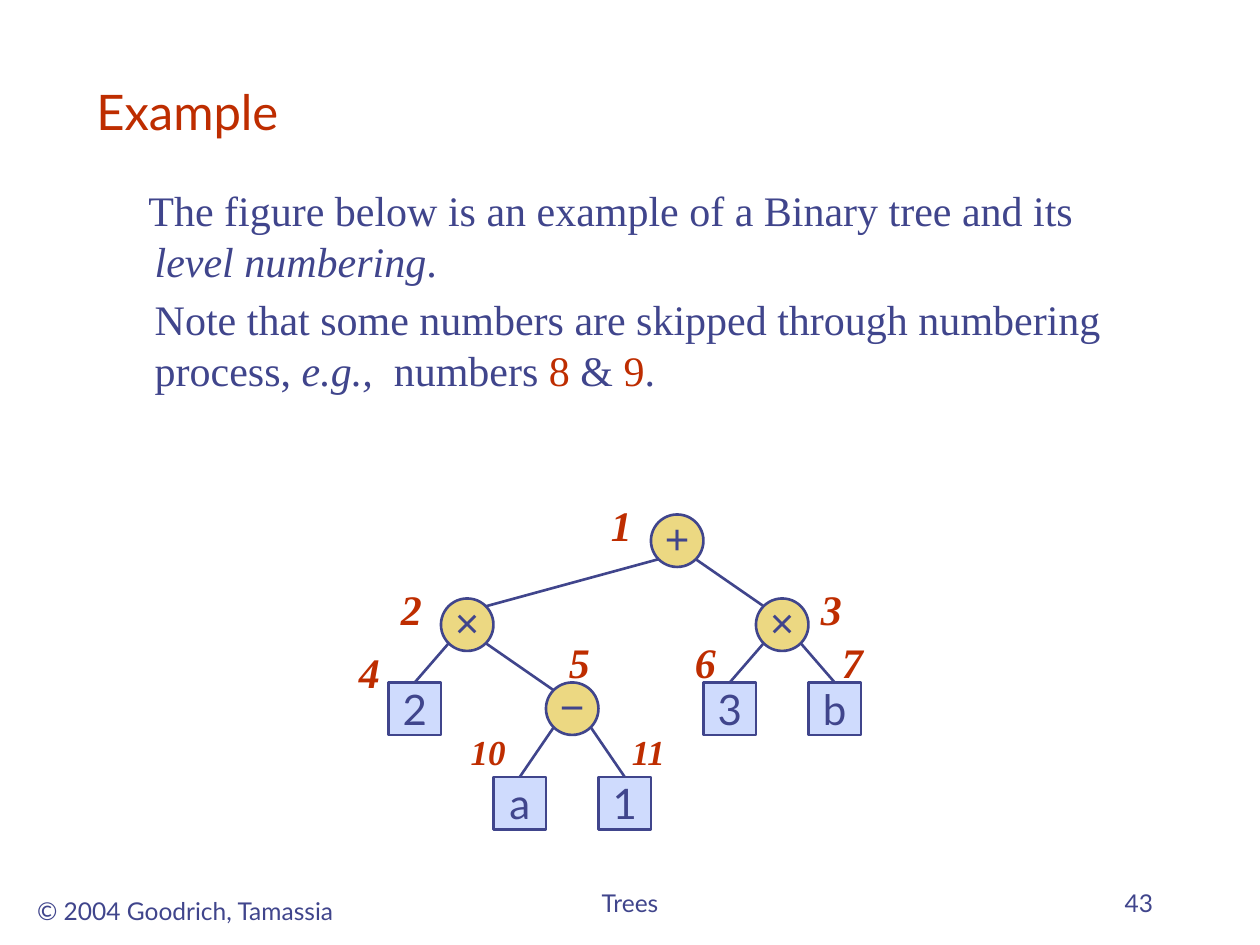
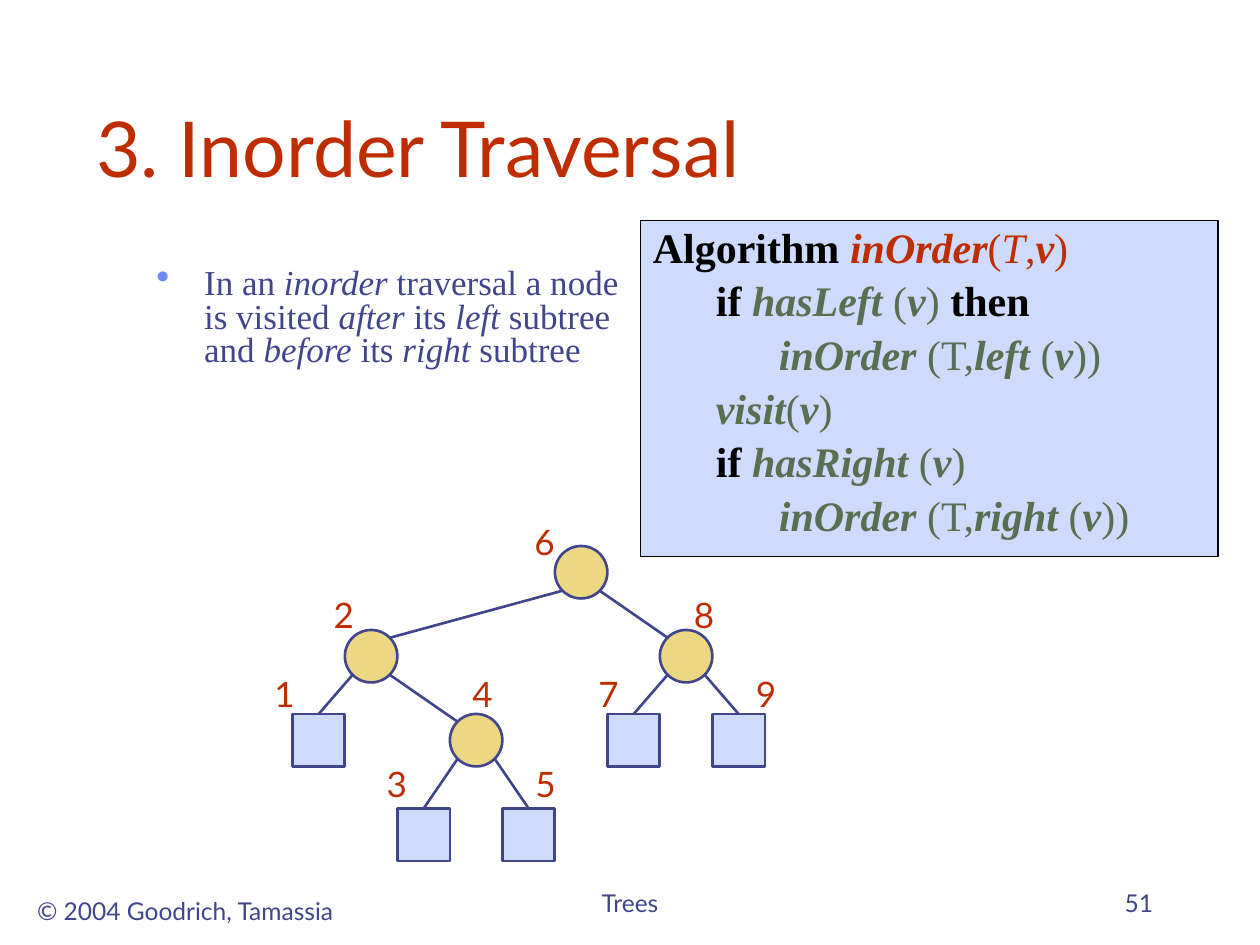
import pptx
import pptx.dml.color
import pptx.enum.shapes
import pptx.enum.text
import pptx.util
from lxml import etree
from pptx.oxml.ns import qn

SLIDE_WIDTH, SLIDE_HEIGHT = 10, 7.5
COLUMNS = 24
CELL = SLIDE_WIDTH / COLUMNS
NAVY, RED, GREEN, BLACK = "40458C", "BE2D00", "577052", "000000"
GOLD, PALE_BLUE, BULLET_BLUE = "ECD882", "CFDBFD", "6F89F7"
SANS, SERIF, SYMBOLS = "Lato", "Times New Roman", "Arial"
ALIGN = pptx.enum.text.PP_ALIGN
ANCHOR = pptx.enum.text.MSO_ANCHOR
PRESET = pptx.enum.shapes.MSO_SHAPE

NODE_ROWS = [3.2, 1.6, 5, 3.2, 5, 0, 3.2, 1.6, 3.2]
CHILDREN = {5: (1, 7), 1: (0, 3), 3: (2, 4), 7: (6, 8)}
DIAGONAL = 0.35


def cells(*lengths):
    return [pptx.util.Inches(length * CELL) for length in lengths]


def colour(hex_string):
    return pptx.dml.color.RGBColor.from_string(hex_string)


def add_runs(paragraph, runs, size, font, default_colour=NAVY):
    for text, style, *own_colour in runs:
        run = paragraph.add_run()
        run.text = text
        run.font.size = pptx.util.Pt(size)
        run.font.name = font
        run.font.bold = "b" in style
        run.font.italic = "i" in style
        run.font.color.rgb = colour(own_colour[0] if own_colour else default_colour)


def set_indent(paragraph, left, first_line=0):
    properties = paragraph._p.get_or_add_pPr()
    properties.set("marL", str(pptx.util.Inches(left)))
    properties.set("indent", str(pptx.util.Inches(first_line)))


def set_bullet(paragraph):
    properties = paragraph._p.get_or_add_pPr()
    bullet_colour = etree.SubElement(properties, qn("a:buClr"))
    etree.SubElement(bullet_colour, qn("a:srgbClr"), val=BULLET_BLUE)
    etree.SubElement(properties, qn("a:buSzPct"), val="110000")
    etree.SubElement(properties, qn("a:buChar"), char="•")


def add_text_box(slide, box, anchor=ANCHOR.TOP, wrap=True):
    frame = slide.shapes.add_textbox(*cells(*box)).text_frame
    frame.word_wrap = wrap
    frame.vertical_anchor = anchor
    return frame


def add_line_of_text(slide, box, text, size, font=SANS, text_colour=NAVY,
                     style="", align=ALIGN.LEFT, anchor=ANCHOR.TOP, wrap=True):
    paragraph = add_text_box(slide, box, anchor, wrap).paragraphs[0]
    paragraph.alignment = align
    add_runs(paragraph, [(text, style)], size, font, text_colour)


def style_shape(shape, fill, line, width):
    shape.shadow.inherit = False
    shape.fill.solid()
    shape.fill.fore_color.rgb = colour(fill)
    shape.line.color.rgb = colour(line)
    shape.line.width = pptx.util.Pt(width)


def add_frame(presentation, title, title_box, title_size, number):
    slide = presentation.slides.add_slide(presentation.slide_layouts[6])
    add_line_of_text(slide, (0.4, 16.95, 6.26, 0.8), "© 2004 Goodrich, Tamassia", 14,
                     align=ALIGN.CENTER, wrap=False)
    add_line_of_text(slide, (8.2, 16.4, 7.6, 1.2), "Trees", 14,
                     align=ALIGN.CENTER, anchor=ANCHOR.BOTTOM)
    add_line_of_text(slide, (17.2, 16.4, 5, 1.2), number, 14,
                     align=ALIGN.RIGHT, anchor=ANCHOR.BOTTOM)
    add_line_of_text(slide, title_box, title, title_size,
                     text_colour=RED, anchor=ANCHOR.BOTTOM)
    return slide


def add_node(shapes, left, top, is_leaf, symbol):
    preset = PRESET.RECTANGLE if is_leaf else PRESET.OVAL
    node = shapes.add_shape(preset, *cells(left, top, 1, 1))
    style_shape(node, PALE_BLUE if is_leaf else GOLD, NAVY, 1.5)
    if symbol:
        frame = node.text_frame
        frame.word_wrap = False
        frame.vertical_anchor = ANCHOR.MIDDLE
        frame.margin_left = frame.margin_right = frame.margin_top = 0
        frame.margin_bottom = 0 if is_leaf else pptx.util.Inches(0.05)
        paragraph = frame.paragraphs[0]
        paragraph.alignment = ALIGN.CENTER
        add_runs(paragraph, [(symbol, "")], 24, SANS if is_leaf else SYMBOLS)
    return node


def add_tree(slide, left, top, symbols):
    shapes = slide.shapes.add_group_shape().shapes
    nodes = [add_node(shapes, left + column, top + row, column not in CHILDREN, symbol)
             for column, (row, symbol) in enumerate(zip(NODE_ROWS, symbols))]
    for parent, children in CHILDREN.items():
        for child in children:
            shift = DIAGONAL if child > parent else -DIAGONAL
            start = (left + parent + 0.5 + shift, top + NODE_ROWS[parent] + 0.5 + DIAGONAL)
            end = (left + child + 0.5 - shift, top + NODE_ROWS[child] + 0.5 - DIAGONAL)
            edge = shapes.add_connector(pptx.enum.shapes.MSO_CONNECTOR.STRAIGHT,
                                        *cells(*start, *end))
            if child not in CHILDREN:
                edge.end_connect(nodes[child], 0)
            edge.line.color.rgb = colour(NAVY)
            edge.line.width = pptx.util.Pt(1.5)
            etree.SubElement(edge._element.spPr, qn("a:effectLst"))


def add_level_numbers(slide, left, top):
    labels = [("4", -0.8, 2.4), ("2", 0, 1.2), ("10", 1.33, 4), ("5", 3.2, 2.2),
              ("11", 4.4, 4), ("1", 4, -0.4), ("6", 5.6, 2.2), ("3", 8, 1.2),
              ("7", 8.4, 2.2)]
    for number, column, row in labels:
        wide = len(number) > 1
        add_line_of_text(slide, (left + column, top + row, 1.4 if wide else 1, 1.2),
                         number, 20 if wide else 24, SERIF, RED, "bi")


def add_visit_numbers(slide, left, top):
    positions = [(-0.58, 2.3), (0.55, 0.78), (1.56, 4), (3.19, 2.3), (4.39, 4),
                 (4.37, -0.61), (5.59, 2.3), (7.41, 0.78), (8.59, 2.3)]
    for number, (column, row) in enumerate(positions, 1):
        add_line_of_text(slide, (left + column, top + row, 0.84, 1.03), str(number), 20,
                         text_colour=RED, align=ALIGN.CENTER, wrap=False)


def add_level_explanation(slide, box):
    frame = add_text_box(slide, box)
    figure = frame.paragraphs[0]
    set_indent(figure, 0.38, -0.05)
    add_runs(figure, [("The figure below is an example of a Binary tree and its ", ""),
                      ("level numbering", "i"), (".", "")], 24, SERIF)
    note = frame.add_paragraph()
    set_indent(note, 0.38)
    note.space_before = pptx.util.Pt(4.8)
    add_runs(note, [("Note that some numbers are skipped through numbering process, ", ""),
                    ("e.g.,", "i"), ("  numbers ", ""), ("8", "", RED),
                    (" & ", ""), ("9", "", RED), (".", "")], 24, SERIF)


def add_inorder_definition(slide, box):
    paragraph = add_text_box(slide, box).paragraphs[0]
    paragraph.line_spacing = 0.8
    set_indent(paragraph, 0.38, -0.38)
    set_bullet(paragraph)
    add_runs(paragraph, [("In an ", ""), ("inorder", "i"),
                         (" traversal a node is visited ", ""), ("after", "i"),
                         (" its ", ""), ("left", "i"), (" subtree and ", ""),
                         ("before", "i"), (" its ", ""), ("right", "i"),
                         (" subtree", "")], 20, SERIF)


def recursive_call(side):
    return [("inOrder", "bi"), (" (T,", ""), (side + " ", "bi"),
            ("(", ""), ("v", "bi"), ("))", "")]


def condition(test):
    return [("if ", "b", BLACK), (test + " ", "bi"), ("(", ""), ("v", "bi")]


def add_algorithm(slide, box):
    panel = slide.shapes.add_shape(PRESET.RECTANGLE, *cells(*box))
    style_shape(panel, PALE_BLUE, BLACK, 0.75)
    frame = panel.text_frame
    frame.word_wrap = True
    frame.vertical_anchor = ANCHOR.TOP
    code_lines = [
        (0, [("Algorithm ", "b", BLACK), ("inOrder", "bi", RED), ("(", "", RED),
             ("T", "i", RED), (",", "", RED), ("v", "bi", RED), (")", "", RED)]),
        (1, condition("hasLeft") + [(") ", ""), ("then", "b", BLACK)]),
        (2, recursive_call("left")),
        (1, [("visit", "bi"), ("(", ""), ("v", "bi"), (")", "")]),
        (1, condition("hasRight") + [(")", "")]),
        (2, recursive_call("right")),
    ]
    for index, (level, runs) in enumerate(code_lines):
        paragraph = frame.add_paragraph() if index else frame.paragraphs[0]
        paragraph.alignment = ALIGN.LEFT
        paragraph.level = level
        paragraph.line_spacing = 0.9
        paragraph.space_before = pptx.util.Pt(4.8 if index else 0)
        set_indent(paragraph, 0.5 * level)
        add_runs(paragraph, runs, 24, SERIF, GREEN)


def build_example(presentation):
    slide = add_frame(presentation, "Example", (1.6, 1.2, 20.4, 1.6), 28, "43")
    add_level_explanation(slide, (1.8, 3.4, 20.4, 7.8))
    add_tree(slide, 7.4, 9.8, "2×a−1+3×b")
    add_level_numbers(slide, 7.4, 9.8)


def build_inorder_traversal(presentation):
    slide = add_frame(presentation, "3. Inorder Traversal", (1.6, 0.8, 20.4, 3), 44, "51")
    add_inorder_definition(slide, (2.74, 5, 9.28, 6.2))
    add_algorithm(slide, (12.2, 4.2, 11, 6.4))
    add_tree(slide, 5.57, 10.4, [""] * len(NODE_ROWS))
    add_visit_numbers(slide, 5.57, 10.4)


def main():
    presentation = pptx.Presentation()
    presentation.slide_width = pptx.util.Inches(SLIDE_WIDTH)
    presentation.slide_height = pptx.util.Inches(SLIDE_HEIGHT)
    build_example(presentation)
    build_inorder_traversal(presentation)
    presentation.save("out.pptx")


if __name__ == "__main__":
    main()
